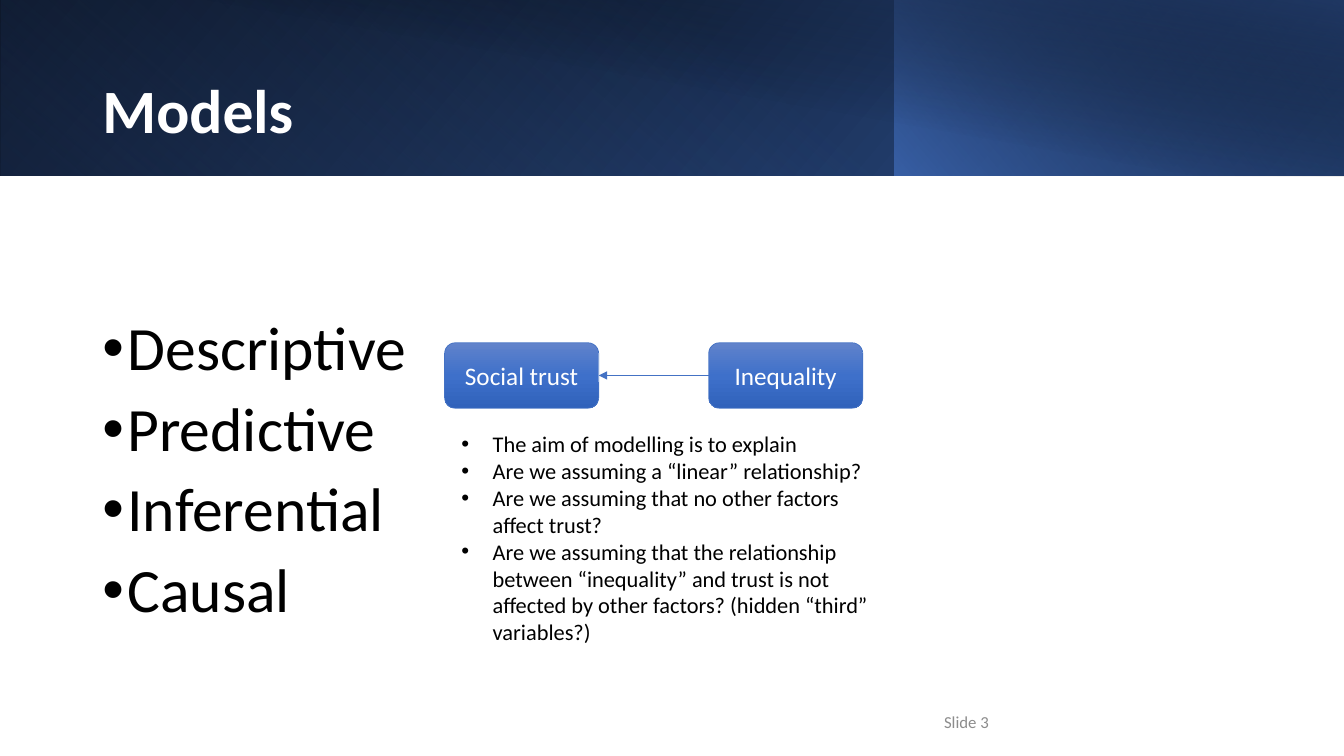
from lxml import etree
from pptx import Presentation
from pptx.dml.color import RGBColor
from pptx.enum.shapes import MSO_CONNECTOR as LINE, MSO_SHAPE as SHAPE
from pptx.enum.text import MSO_ANCHOR as ANCHOR, MSO_AUTO_SIZE as FIT, PP_ALIGN as ALIGN
from pptx.oxml.ns import qn
from pptx.util import Inches, Pt


def color(value):
    return RGBColor.from_string(value)


def add_xml(parent, tag, **attrs):
    return etree.SubElement(parent, qn(tag), {k: str(v) for k, v in attrs.items()})


class Deck:
    """Slide style and drawing methods on a grid of 160 columns by 90 rows."""

    FONT, BLUE, NAVY = "Calibri", "4472C4", "203864"
    COLS, ROWS = 160, 90

    def __init__(self):
        self.prs = Presentation()
        self.prs.slide_width, self.prs.slide_height = Inches(13.33), Inches(7.5)
        self.s = self.prs.slides.add_slide(self.prs.slide_layouts[5])

    def place(self, col, row, cols, rows):
        x, y = self.prs.slide_width / self.COLS, self.prs.slide_height / self.ROWS
        return [round(v) for v in (col * x, row * y, cols * x, rows * y)]

    def set_text(self, sp, lines, size, ink, align=ALIGN.LEFT, anchor=ANCHOR.MIDDLE,
                 bold=False, spacing=None, before=0, indent=0):
        tf = sp.text_frame
        tf.auto_size, tf.word_wrap, tf.vertical_anchor = FIT.NONE, True, anchor
        tf.text = "\n".join(lines)
        for p in tf.paragraphs:
            p.alignment, p.line_spacing, p.space_before = align, spacing, Pt(before)
            p.font.name, p.font.size, p.font.bold = self.FONT, Pt(size), bold
            p.font.color.rgb = color(ink)
            if indent:
                pr = p._p.get_or_add_pPr()
                pr.set("marL", str(Inches(indent)))
                pr.set("indent", str(-Inches(indent)))
                bullet_font = etree.Element(qn("a:buFont"), typeface="Arial")
                bullet = etree.Element(qn("a:buChar"), char="•")
                pr.find(qn("a:defRPr")).addprevious(bullet_font)
                bullet_font.addnext(bullet)

    def title(self, text, *cell):
        sp = self.s.shapes.title
        sp.left, sp.top, sp.width, sp.height = self.place(*cell)
        sp.element.getparent().append(sp.element)
        self.set_text(sp, [text], 44, "FFFFFF", bold=True, spacing=0.9)

    def text(self, lines, cell, size, ink="000000", **style):
        sp = self.s.shapes.add_textbox(*self.place(*cell))
        self.set_text(sp, lines, size, ink, **style)

    def gradient(self, kind, cell, stops, angle, flip=False, rotation=0):
        sp = self.s.shapes.add_shape(kind, *self.place(*cell))
        sp.shadow.inherit = False
        sp.line.fill.background()
        sp.rotation = rotation
        pr = sp.element.spPr
        if flip:
            pr.find(qn("a:xfrm")).set("flipH", "1")
        fill = etree.Element(qn("a:gradFill"), rotWithShape="1")
        stop_list = add_xml(fill, "a:gsLst")
        for pos, value, alpha in stops:
            stop = add_xml(stop_list, "a:gs", pos=pos * 1000)
            add_xml(add_xml(stop, "a:srgbClr", val=value), "a:alpha", val=alpha * 1000)
        add_xml(fill, "a:lin", ang=angle * 60000, scaled=0)
        pr.find(qn("a:prstGeom")).addnext(fill)
        return sp

    def box(self, label, *cell):
        stops = [(0, "6183CB", 100), (50, "3E70CA", 100), (100, "3062BB", 100)]
        sp = self.gradient(SHAPE.ROUNDED_RECTANGLE, cell, stops, 90)
        sp.line.color.rgb, sp.line.width = color(self.BLUE), Pt(0.5)
        self.set_text(sp, [label], 18, "FFFFFF", align=ALIGN.CENTER)
        return sp

    def arrow(self, start, end):
        sp = self.s.shapes.add_connector(LINE.STRAIGHT, 0, 0, 0, 0)
        sp.begin_connect(start, 1)
        sp.end_connect(end, 3)
        sp.line.color.rgb, sp.line.width = color(self.BLUE), Pt(1)
        add_xml(sp.element.spPr.find(qn("a:ln")), "a:tailEnd", type="triangle")
        add_xml(sp.element.spPr, "a:effectLst")


def main():
    d = Deck()
    band = 20.88
    d.gradient(SHAPE.RECTANGLE, (0, 0, 160, band),
               [(0, "000000", 100), (100, "2F5597", 100)], 140, flip=True)
    d.gradient(SHAPE.RECTANGLE, (0, 0, 106.5, band),
               [(20, d.BLUE, 0), (100, d.NAVY, 55)], 230, flip=True, rotation=180)
    d.gradient(SHAPE.RECTANGLE, (106.5, 0, 53.5, band),
               [(0, d.BLUE, 66), (100, "000000", 30)], 220, flip=True)
    d.gradient(SHAPE.RECTANGLE, (6, 0, 154, 21),
               [(50, "000000", 0), (99, d.NAVY, 52)], 280)
    d.title("Models", 11, 4.8, 138, 17.4)
    d.text(["Descriptive", "Predictive", "Inferential", "Causal"],
           (11, 28.44, 108, 55.44), 44, spacing=0.9, before=10, indent=0.25)
    d.text(["Slide 3"], (110.16, 84.84, 8.76, 2.16), 12, "8C8C8C", align=ALIGN.RIGHT)
    trust, inequality = [d.box(label, col, 40.8, 18.36, 7.8)
                         for label, col in (("Social trust", 52.92), ("Inequality", 84.36))]
    d.arrow(inequality, trust)
    d.text(["The aim of modelling is to explain",
            "Are we assuming a “linear” relationship?",
            "Are we assuming that no other factors affect trust?",
            "Are we assuming that the relationship between “inequality” and trust is not "
            "affected by other factors? (hidden “third” variables?)"],
           (53.76, 50.64, 51.24, 27.12), 16, anchor=ANCHOR.TOP, indent=0.31)
    d.prs.save("out.pptx")


if __name__ == "__main__":
    main()
